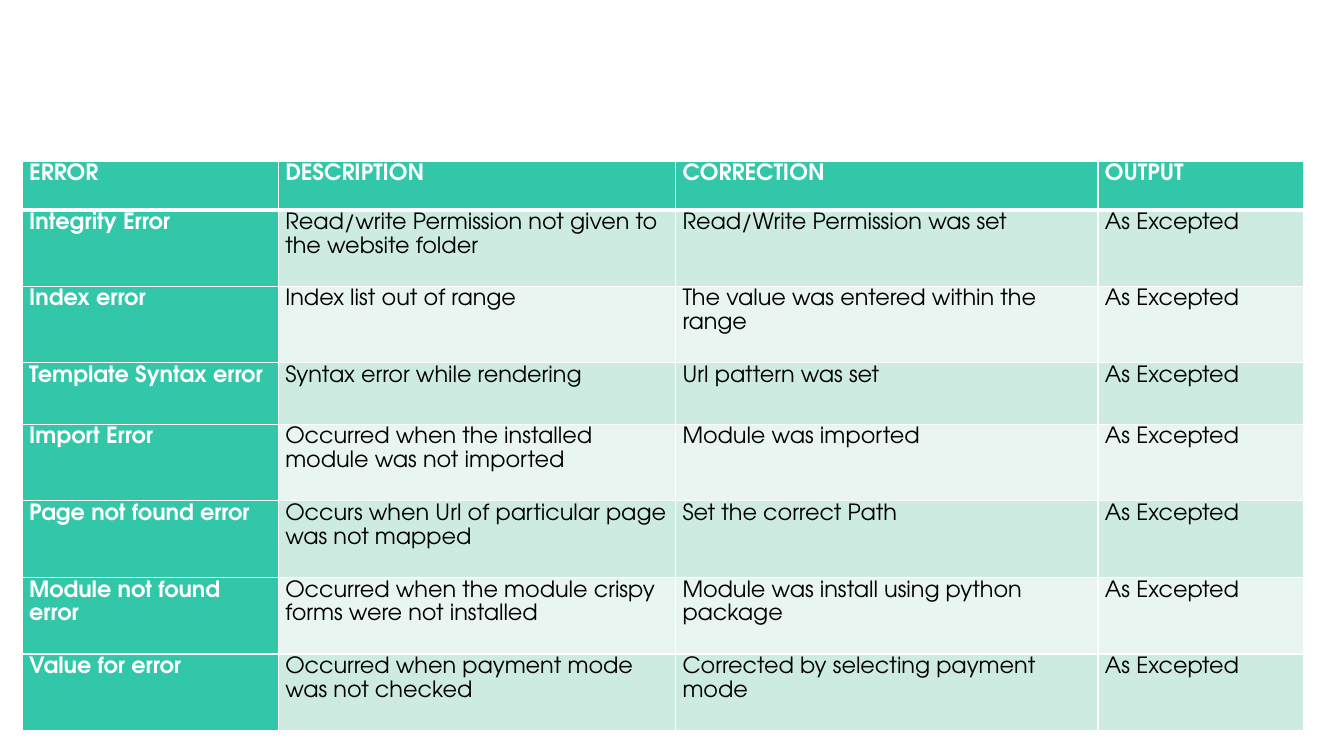
import pptx
import pptx.dml.color
import pptx.enum.text
import pptx.oxml
import pptx.oxml.ns
import pptx.util

FONT = "TeX Gyre Adventor"
WHITE, BLACK, TEAL = "FFFFFF", "000000", "32C7A9"
BANDS = ("CEEBE2", "E8F5F1")
OUTPUT = "As Excepted"
HEADER = ("ERROR", "DESCRIPTION", "CORRECTION", "OUTPUT")
ERRORS = [
    ("Integrity Error", "Read/write Permission not given to the website folder", "Read/Write Permission was set"),
    ("Index error", "Index list out of range", "The value was entered within the range"),
    ("Template Syntax error", "Syntax error while rendering", "Url pattern was set"),
    ("Import Error", "Occurred when the installed module was not imported", "Module was imported"),
    ("Page not found error", "Occurs when Url of particular page was not mapped", "Set the correct Path"),
    ("Module not found error", "Occurred when the module crispy forms were not installed",
     "Module was install using python package"),
    ("Value for error", "Occurred when payment mode was not checked", "Corrected by selecting payment mode"),
]
ROWS = [HEADER] + [error + (OUTPUT,) for error in ERRORS]
COLUMN_WIDTHS = (2.54, 3.94, 4.19, 2.04)
ROW_HEIGHTS = (0.48, 0.76, 0.76, 0.61, 0.76, 0.76, 0.76, 0.76)
LEFT, TOP = 0.22, 1.6


def color(value):
    return pptx.dml.color.RGBColor.from_string(value)


def add_borders(cell, row_index):
    properties = cell._tc.get_or_add_tcPr()
    widths = {"lnL": 1, "lnR": 1, "lnT": 3 if row_index == 1 else 1, "lnB": 3 if row_index == 0 else 1}
    for side, width in widths.items():
        properties.append(pptx.oxml.parse_xml(
            f'<a:{side} {pptx.oxml.ns.nsdecls("a")} w="{pptx.util.Pt(width)}">'
            f'<a:solidFill><a:srgbClr val="{WHITE}"/></a:solidFill></a:{side}>'))


def add_tab_stop(paragraph):
    paragraph._p.get_or_add_pPr().append(pptx.oxml.parse_xml(
        f'<a:tabLst {pptx.oxml.ns.nsdecls("a")}>'
        f'<a:tab pos="{pptx.util.Inches(2.51)}" algn="l"/></a:tabLst>'))


def fill_cell(cell, text, row_index, column_index):
    strong = row_index == 0 or column_index == 0
    add_borders(cell, row_index)
    cell.fill.solid()
    cell.fill.fore_color.rgb = color(TEAL if strong else BANDS[(row_index - 1) % 2])
    cell.margin_left = cell.margin_right = pptx.util.Inches(0.07)
    cell.margin_top = cell.margin_bottom = 0
    cell.vertical_anchor = pptx.enum.text.MSO_ANCHOR.TOP
    cell.text_frame.text = text
    paragraph = cell.text_frame.paragraphs[0]
    add_tab_stop(paragraph)
    paragraph.line_spacing = 1.15
    font = paragraph.runs[0].font
    font.name = FONT
    font.size = pptx.util.Pt(16)
    font.bold = strong
    font.color.rgb = color(WHITE if strong else BLACK)


def main():
    presentation = pptx.Presentation()
    presentation.slide_width = pptx.util.Inches(13.33)
    presentation.slide_height = pptx.util.Inches(7.5)
    slide = presentation.slides.add_slide(presentation.slide_layouts[6])
    bounds = (LEFT, TOP, sum(COLUMN_WIDTHS), sum(ROW_HEIGHTS))
    table = slide.shapes.add_table(len(ROWS), len(HEADER), *map(pptx.util.Inches, bounds)).table
    for column, width in zip(table.columns, COLUMN_WIDTHS):
        column.width = pptx.util.Inches(width)
    for row, height in zip(table.rows, ROW_HEIGHTS):
        row.height = pptx.util.Inches(height)
    for row_index, texts in enumerate(ROWS):
        for column_index, text in enumerate(texts):
            fill_cell(table.cell(row_index, column_index), text, row_index, column_index)
    presentation.save("out.pptx")


if __name__ == "__main__":
    main()
